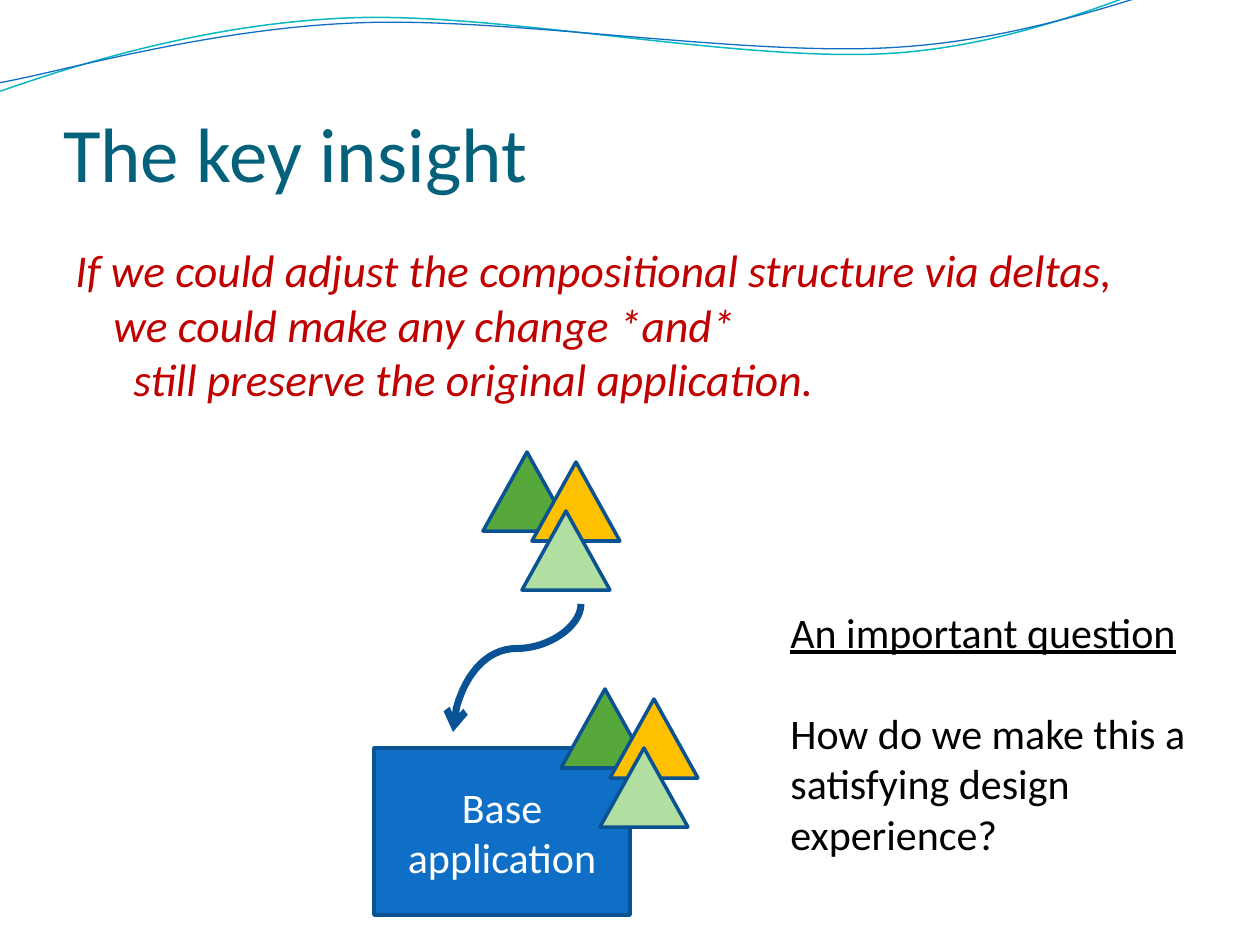
"""Build the key insight slide: deltas that adjust a base application."""
from dataclasses import dataclass
from typing import Any

from lxml import etree
from pptx import Presentation
from pptx.dml.color import RGBColor
from pptx.enum.shapes import MSO_CONNECTOR, MSO_SHAPE
from pptx.enum.text import MSO_ANCHOR, MSO_AUTO_SIZE, PP_ALIGN
from pptx.oxml.ns import qn
from pptx.util import Emu, Pt

RECT, PEAK = MSO_SHAPE.RECTANGLE, MSO_SHAPE.ISOSCELES_TRIANGLE
CURVE = MSO_CONNECTOR.CURVE
LEFT, CENTER = PP_ALIGN.LEFT, PP_ALIGN.CENTER
TOP, MIDDLE, BOTTOM = MSO_ANCHOR.TOP, MSO_ANCHOR.MIDDLE, MSO_ANCHOR.BOTTOM
FIXED = MSO_AUTO_SIZE.NONE
SCALE = 914400 / 126


@dataclass(frozen=True)
class Theme:
    font: str = "Calibri"
    title: str = "04617B"
    claim: str = "C00000"
    ink: str = "000000"
    white: str = "FFFFFF"
    blue: str = "0F6FC6"
    teal: str = "0AB8BF"
    edge: str = "0B5292"
    arrow: str = "095295"
    head: int = 44
    lead: int = 26
    body: int = 24


@dataclass(frozen=True)
class Box:
    x: int
    y: int
    w: int
    h: int


@dataclass(frozen=True)
class Delta:
    dx: int
    dy: int
    fill: str


@dataclass(frozen=True)
class Line:
    text: str
    left: int = 0
    first: int = 0
    gap: int = 0
    under: bool = False


@dataclass(frozen=True)
class Wave:
    color: str
    width: float
    points: tuple[tuple[int, int], ...]


THEME = Theme()
DELTAS = (Delta(0, 0, "55A839"), Delta(49, 10, "FFC000"), Delta(39, 59, "B0DFA1"))
WAVES = (
    Wave(THEME.teal, 0.85, (
        (-2, 92), (58, 71), (197, 24), (347, 18), (496, 11),
        (745, 64), (896, 53), (1048, 42), (1180, -29), (1256, -50))),
    Wave(THEME.blue, 0.75, (
        (-2, 83), (57, 73), (205, 29), (355, 23), (506, 16),
        (750, 58), (901, 47), (1051, 37), (1184, -21), (1258, -40))),
)
CLAIM = (
    Line("If we could adjust the compositional structure via deltas,\v"
         "we could make any change *and*", left=38, first=-38),
    Line("still preserve the original application.", left=58),
)
ASK = (
    Line("An important question", under=True),
    Line("How do we make this a satisfying design experience?", gap=29),
)


def px(size: float) -> Emu:
    """Turn px into EMU."""
    return Emu(round(size * SCALE))


def place(box: Box) -> tuple[Emu, Emu, Emu, Emu]:
    """Give the box edges in EMU."""
    return px(box.x), px(box.y), px(box.w), px(box.h)


def write(frame: Any, lines: tuple[Line, ...], size: int, color: str,
          align: Any = LEFT, anchor: Any = TOP, slant: bool = False) -> None:
    """Fill a text frame and format its runs."""
    frame.word_wrap = True
    frame.auto_size = FIXED
    frame.vertical_anchor = anchor
    for at, line in enumerate(lines):
        para = frame.add_paragraph() if at else frame.paragraphs[0]
        para.text = line.text
        para.alignment = align
        para.space_before = Pt(line.gap)
        para.font.size = Pt(size)
        if line.left:
            props = para._p.get_or_add_pPr()
            props.set("marL", str(px(line.left)))
            props.set("indent", str(px(line.first)))
        for run in para.runs:
            font = run.font
            font.name, font.size = THEME.font, Pt(size)
            font.italic, font.underline = slant, line.under
            font.color.rgb = RGBColor.from_string(color)


def stroke(shape: Any, color: str, width: float) -> None:
    """Set the outline of a shape."""
    shape.line.color.rgb = RGBColor.from_string(color)
    shape.line.width = Pt(width)


def block(shapes: Any, kind: Any, box: Box, fill: str) -> Any:
    """Add a filled and outlined shape."""
    shape = shapes.add_shape(kind, *place(box))
    shape.shadow.inherit = False
    shape.fill.solid()
    shape.fill.fore_color.rgb = RGBColor.from_string(fill)
    stroke(shape, THEME.edge, 2)
    return shape


def cluster(shapes: Any, x: int, y: int) -> None:
    """Add the three delta triangles at one spot."""
    for delta in DELTAS:
        block(shapes, PEAK, Box(x + delta.dx, y + delta.dy, 88, 79), delta.fill)


def ripple(shapes: Any, wave: Wave) -> None:
    """Draw one wave along the top as joined cubic curves."""
    spots = [(px(x), px(y)) for x, y in wave.points]
    pen = shapes.build_freeform(*spots[0])
    pen.add_line_segments(spots[1:], close=False)
    shape = pen.convert_to_shape()
    shape.shadow.inherit = False
    shape.fill.background()
    stroke(shape, wave.color, wave.width)
    path = next(shape._element.iter(qn("a:path")))
    legs = path.findall(qn("a:lnTo"))
    for start in range(0, len(legs), 3):
        bend = etree.SubElement(path, qn("a:cubicBezTo"))
        for leg in legs[start:start + 3]:
            bend.append(leg[0])
            path.remove(leg)


def swoop(shapes: Any, box: Box) -> None:
    """Draw the curved arrow from top right to bottom left."""
    link = shapes.add_connector(
        CURVE, px(box.x), px(box.y), px(box.x + box.w), px(box.y + box.h))
    stroke(link, THEME.arrow, 4)
    props = link._element.spPr
    props.find(qn("a:xfrm")).set("rot", "5400000")
    guides = props.find(qn("a:prstGeom")).find(qn("a:avLst"))
    etree.SubElement(guides, qn("a:gd"), name="adj1", fmla="val 34800")
    etree.SubElement(props.find(qn("a:ln")), qn("a:tailEnd"), type="arrow")
    etree.SubElement(props, qn("a:effectLst"))


def main() -> None:
    """Build and save the slide."""
    deck = Presentation()
    deck.slide_width, deck.slide_height = px(1260), px(945)
    slide = deck.slides.add_slide(deck.slide_layouts[5])
    shapes = slide.shapes
    for wave in WAVES:
        ripple(shapes, wave)

    title = shapes.title
    title.left, title.top, title.width, title.height = place(Box(63, 69, 1134, 129))
    frame = title.text_frame
    frame.margin_left = frame.margin_right = frame.margin_bottom = 0
    write(frame, (Line("The key insight"),), THEME.head, THEME.title, anchor=BOTTOM)

    claim = shapes.add_textbox(*place(Box(63, 236, 1134, 635)))
    write(claim.text_frame, CLAIM, THEME.lead, THEME.claim, slant=True)

    base = block(shapes, RECT, Box(374, 748, 256, 167), THEME.blue)
    write(base.text_frame, (Line("Base application"),), THEME.body, THEME.white,
          CENTER, MIDDLE)
    cluster(shapes, 483, 452)
    swoop(shapes, Box(453, 604, 128, 128))

    ask = shapes.add_textbox(*place(Box(778, 600, 462, 267)))
    write(ask.text_frame, ASK, THEME.body, THEME.ink)
    cluster(shapes.add_group_shape().shapes, 561, 689)
    deck.save("out.pptx")


if __name__ == "__main__":
    main()
